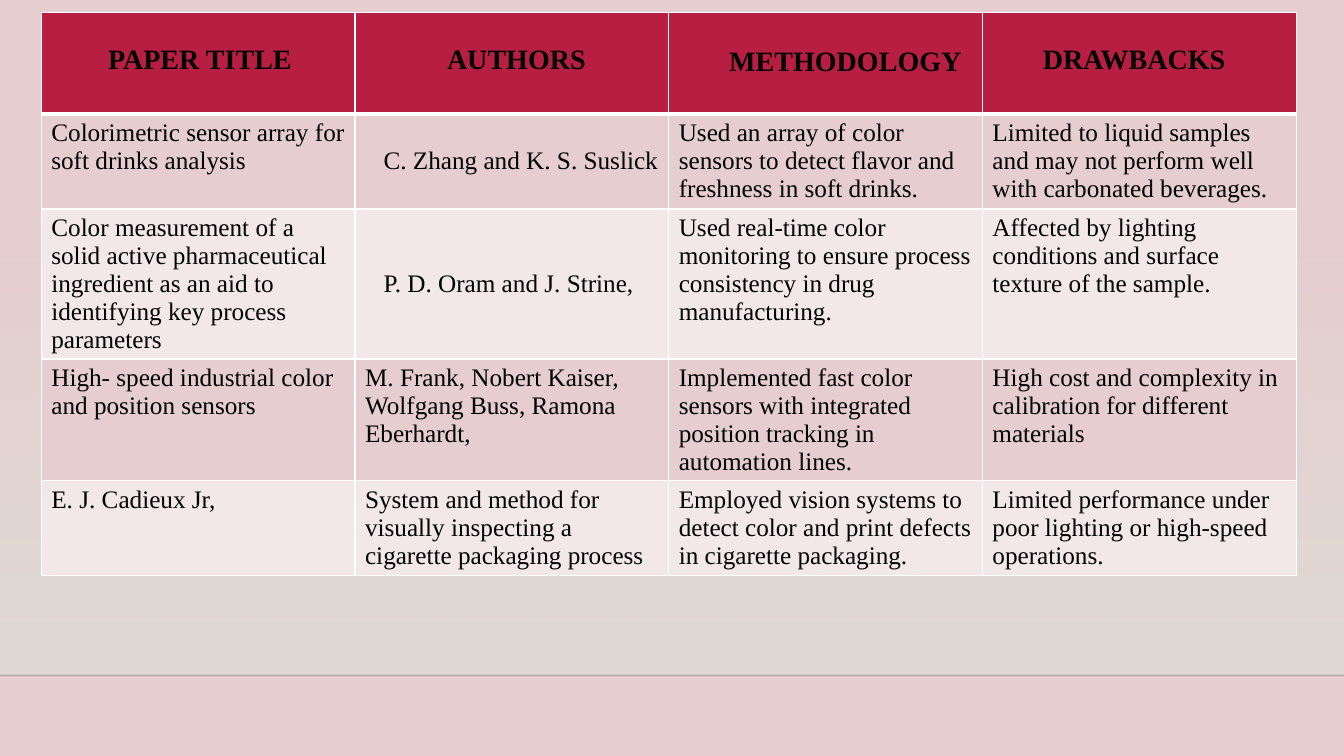
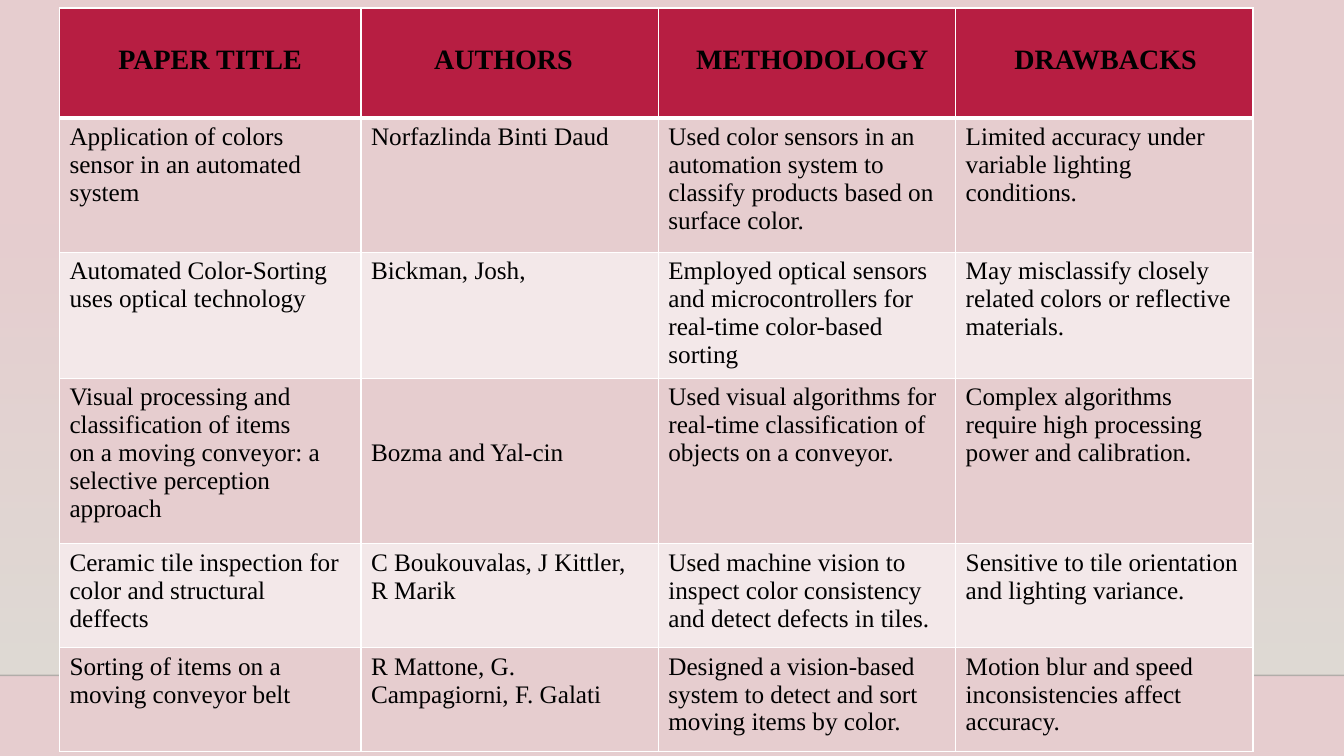
from lxml.etree import SubElement
from pptx import Presentation
from pptx.dml.color import RGBColor as Rgb
from pptx.enum.shapes import MSO_CONNECTOR as Link, MSO_SHAPE as Shape
from pptx.oxml.ns import qn
from pptx.util import Inches, Pt

HUES = {"page": "E6CDCF", "band": "DFDBD5", "rule": "000001", "head": "B71E42",
        "odd": "E6CDCF", "even": "F3E8E9", "edge": "FFFFFF", "ink": "000000"}
FONT = "Times New Roman"
HEAD, BODY = 20, 18
COLS, ROWS = 160, 90
SIDE, TOP = 1.2, 0.6
HEADS = ["PAPER TITLE", "AUTHORS", "METHODOLOGY", "DRAWBACKS"]


def hue(name):
    return Rgb.from_string(HUES[name])


def fade(shape, *shares):
    """Set the opacity, in percent, of each colour in the shape, in order."""
    for tint, share in zip(shape._element.iter(qn("a:srgbClr")), shares):
        SubElement(tint, qn("a:alpha"), val=str(share * 1000))


class Deck:
    """Style and current slide; lengths are in columns and rows of the grid."""

    def __init__(self):
        self.prs = Presentation()
        self.prs.slide_width, self.prs.slide_height = Inches(13.33), Inches(7.5)
        back = self.prs.slide_master.background.fill
        back.solid()
        back.fore_color.rgb = hue("page")

    def x(self, cols):
        return round(self.prs.slide_width * cols / COLS)

    def y(self, rows):
        return round(self.prs.slide_height * rows / ROWS)

    def slide(self):
        self.shapes = self.prs.slides.add_slide(self.prs.slide_layouts[6]).shapes
        self.band(26.5, 80.4)
        self.rule(80.4)

    def band(self, top, base):
        """Full-width band that fades in from top to base."""
        box = self.shapes.add_shape(Shape.RECTANGLE, 0, self.y(top),
                                    self.x(COLS), self.y(base - top))
        box.shadow.inherit = False
        box.line.fill.background()
        box.fill.gradient()
        box.fill.gradient_angle = 270
        for stop, place in zip(box.fill.gradient_stops, (0, 1)):
            stop.position = place
            stop.color.rgb = hue("band")
        fade(box, 0, 100)

    def rule(self, row):
        line = self.shapes.add_connector(Link.STRAIGHT, 0, self.y(row),
                                         self.x(COLS), self.y(row))
        line.line.color.rgb = hue("rule")
        line.line.width = Pt(1)
        fade(line, 20)
        SubElement(line._element.spPr, qn("a:effectLst"))

    def table(self, left, top, wides, highs, data):
        frame = self.shapes.add_table(len(highs), len(wides), self.x(left), self.y(top),
                                      self.x(sum(wides)), self.y(sum(highs)))
        grid = frame.table
        grid.horz_banding = False
        for col, wide in zip(grid.columns, wides):
            col.width = self.x(wide)
        for r, (row, high) in enumerate(zip(grid.rows, highs)):
            row.height = self.y(high)
            for cell, item in zip(row.cells, data[r]):
                self.cell(cell, r, item)

    def cell(self, cell, row, item):
        """Fill one cell; item is text, or text with its indent and drop."""
        text, indent, drop = (item, 0, 0) if isinstance(item, str) else item
        cell.margin_left = self.x(SIDE + indent)
        cell.margin_top = self.y(TOP + drop)
        cell.fill.solid()
        cell.fill.fore_color.rgb = hue("odd" if row % 2 else "even" if row else "head")
        cell.text_frame.text = text
        for para in cell.text_frame.paragraphs:
            font = para.font
            font.name, font.bold = FONT, row == 0
            font.size = Pt(BODY if row else HEAD)
            font.color.rgb = hue("ink")
        self.edges(cell, row)

    def edges(self, cell, row):
        """White borders, thicker between the head and the first row."""
        wide = {"L": 1, "R": 1, "T": 3 if row == 1 else 1, "B": 1 if row else 3}
        props = cell._tc.get_or_add_tcPr()
        for at, (side, size) in enumerate(wide.items()):
            line = SubElement(props, qn("a:ln" + side), w=str(Pt(size)))
            paint = SubElement(line, qn("a:solidFill"))
            SubElement(paint, qn("a:srgbClr"), val=HUES["edge"])
            props.insert(at, line)


def heads(indents, drops):
    return list(zip(HEADS, indents, drops))


FIRST = [
    heads([6.75, 9.75, 6, 6], [3.3, 3.3, 3.55, 3.3]),
    ["Colorimetric sensor array for soft drinks analysis",
     ("C. Zhang and K. S. Suslick", 2.2, 3.3),
     "Used an array of color sensors to detect flavor and freshness in soft drinks.",
     "Limited to liquid samples and may not perform well with carbonated beverages."],
    ["Color measurement of a solid active pharmaceutical ingredient as an aid to "
     "identifying key process parameters",
     ("P. D. Oram and J. Strine,", 2.2, 6.6),
     "Used real-time color monitoring to ensure process consistency in drug "
     "manufacturing.",
     "Affected by lighting conditions and surface texture of the sample."],
    ["High- speed industrial color and position sensors",
     "M. Frank, Nobert Kaiser, Wolfgang Buss, Ramona Eberhardt,",
     "Implemented fast color sensors with integrated position tracking in "
     "automation lines.",
     "High cost and complexity in calibration for different materials"],
    ["E. J. Cadieux Jr,",
     "System and method for visually inspecting a cigarette packaging process",
     "Employed vision systems to detect color and print defects in cigarette "
     "packaging.",
     "Limited performance under poor lighting or high-speed operations."],
]

SECOND = [
    heads([5.8, 7.5, 3.3, 5.8], [3.7] * 4),
    ["Application of colors sensor in an automated system",
     "Norfazlinda Binti Daud",
     "Used color sensors in an automation system to classify products based on "
     "surface color.",
     "Limited accuracy under variable lighting conditions."],
    ["Automated Color-Sorting uses optical technology",
     "Bickman, Josh,",
     "Employed optical sensors and microcontrollers for real-time color-based sorting",
     "May misclassify closely related colors or reflective materials."],
    ["Visual processing and classification of items\n"
     "on a moving conveyor: a selective perception approach",
     ("Bozma and Yal-cin", 0, 6.6),
     "Used visual algorithms for real-time classification of objects on a conveyor.",
     "Complex algorithms require high processing power and calibration."],
    ["Ceramic tile inspection for color and structural deffects",
     "C Boukouvalas, J Kittler, R Marik",
     "Used machine vision to inspect color consistency and detect defects in tiles.",
     "Sensitive to tile orientation and lighting variance."],
    ["Sorting of items on a moving conveyor belt",
     "R Mattone, G. Campagiorni, F. Galati",
     "Designed a vision-based system to detect and sort moving items by color.",
     "Motion blur and speed inconsistencies affect accuracy."],
]


def main():
    deck = Deck()
    deck.slide()
    deck.table(4.92, 1.44, [37.35] * 4, [12.15, 11.3, 17.85, 14.5, 11.3], FIRST)
    deck.slide()
    deck.table(7.08, 0.96, [35.9] + [35.4] * 3,
               [13.1, 16, 15, 19.7, 12.35, 12.35], SECOND)
    deck.prs.save("out.pptx")


if __name__ == "__main__":
    main()
